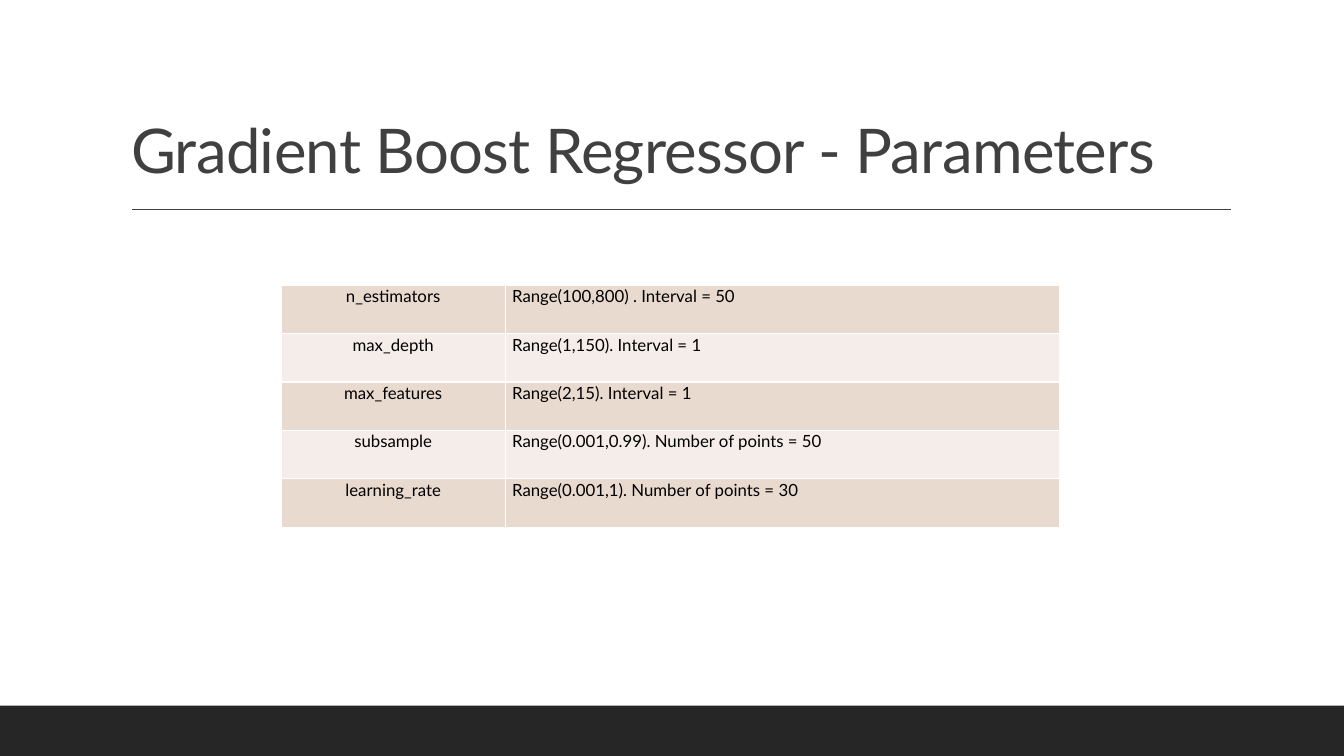
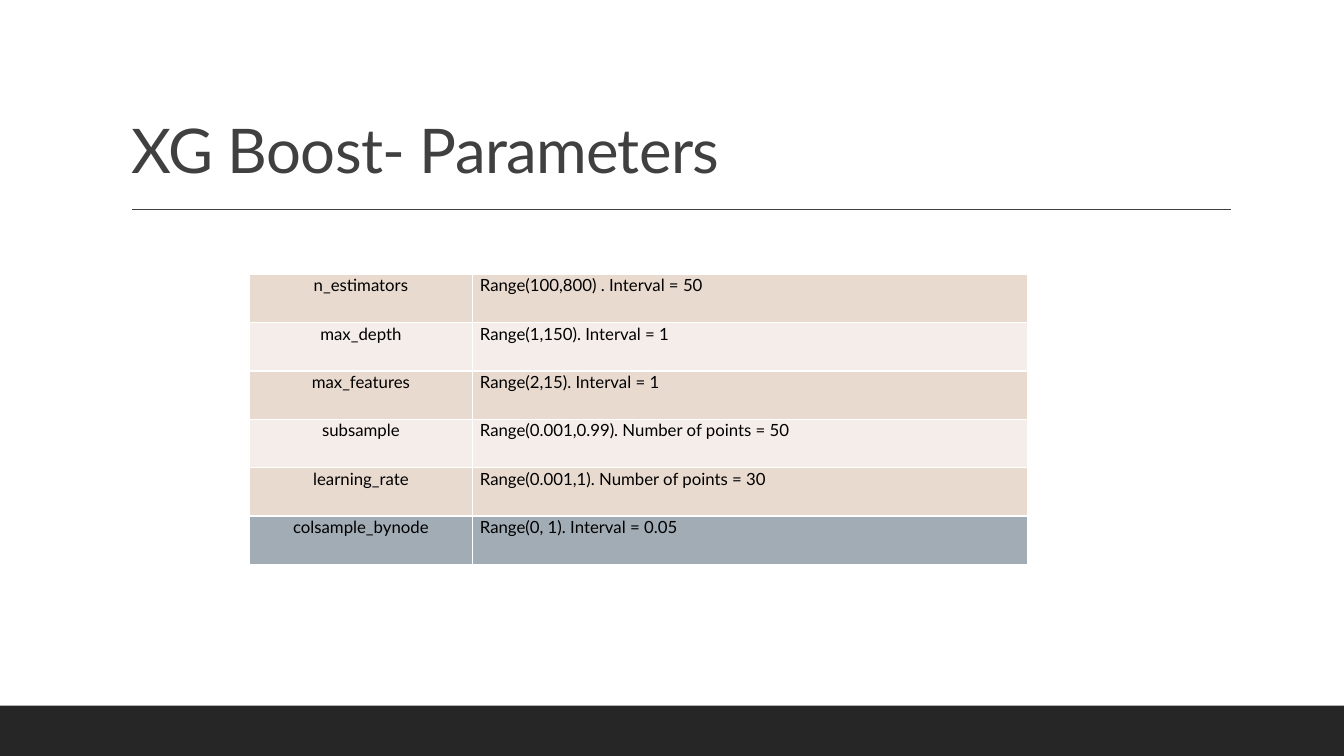
from pptx import Presentation, util as u
from pptx.dml.color import RGBColor
from pptx.enum import shapes, text
from pptx.oxml import parse_xml
from pptx.oxml.ns import nsdecls

FONT = "Lato"
DARK, GREY, BLACK, WHITE = "262626", "404040", "000000", "FFFFFF"
BANDS = ("E9DAD0", "F5EDE9")
EXTRA = "A2ACB5"
COLUMNS = (2.22, 5.5)
ROW_HEIGHT = 0.48
TITLE_BOX = (1.2, 0.31, 11, 1.59)
RULE = (1.31, 2.08, 12.21, 2.08)
FOOTER = (0, 7, 13.33, 0.5)
TITLE_FONT = {"name": FONT, "size": u.Pt(44)}
CELL_FONT = {"name": FONT, "size": u.Pt(12)}
CELL_FORMAT = {
    "margin_left": u.Inches(0.07),
    "margin_right": u.Inches(0.07),
    "margin_top": 0,
    "margin_bottom": 0,
    "vertical_anchor": text.MSO_ANCHOR.TOP,
}

SHARED_PARAMETERS = [
    ("n_estimators", "Range(100,800) . Interval = 50"),
    ("max_depth", "Range(1,150). Interval = 1"),
    ("max_features", "Range(2,15). Interval = 1"),
    ("subsample", "Range(0.001,0.99). Number of points = 50"),
    ("learning_rate", "Range(0.001,1). Number of points = 30"),
]
MODELS = [
    {"title": "Gradient Boost Regressor - Parameters", "corner": (2.79, 2.83), "extra": []},
    {"title": "XG Boost- Parameters", "corner": (2.47, 2.72),
     "extra": [("colsample_bynode", "Range(0, 1). Interval = 0.05")]},
]


def color(value):
    return RGBColor.from_string(value)


def inches(values):
    return [u.Inches(value) for value in values]


def apply(target, values):
    for name, value in values.items():
        setattr(target, name, value)


def paint(fill, value):
    fill.solid()
    fill.fore_color.rgb = color(value)


def add_frame(slide, heading):
    title = slide.shapes.title
    apply(title, dict(zip(("left", "top", "width", "height"), inches(TITLE_BOX))))
    apply(title.text_frame, {"text": heading, "word_wrap": True,
                             "auto_size": text.MSO_AUTO_SIZE.NONE,
                             "vertical_anchor": text.MSO_ANCHOR.BOTTOM})
    line = title.text_frame.paragraphs[0]
    apply(line, {"alignment": text.PP_ALIGN.LEFT, "line_spacing": 0.9})
    run = line.runs[0]
    apply(run.font, TITLE_FONT)
    run.font.color.rgb = color(GREY)
    run._r.get_or_add_rPr().set("spc", "-50")

    footer = slide.shapes.add_shape(shapes.MSO_SHAPE.RECTANGLE, *inches(FOOTER))
    footer.shadow.inherit = False
    paint(footer.fill, DARK)
    footer.line.fill.background()

    rule = slide.shapes.add_connector(shapes.MSO_CONNECTOR.STRAIGHT, *inches(RULE))
    rule.line.color.rgb = color(GREY)
    rule.line.width = u.Pt(1)
    rule._element.spPr.append(parse_xml(f"<a:effectLst {nsdecls('a')}/>"))


def add_borders(cell):
    properties = cell._tc.get_or_add_tcPr()
    for index, side in enumerate(("lnL", "lnR", "lnT", "lnB")):
        properties.insert(index, parse_xml(
            f'<a:{side} {nsdecls("a")} w="{u.Pt(1)}"><a:solidFill>'
            f'<a:srgbClr val="{WHITE}"/></a:solidFill></a:{side}>'))


def fill_cell(cell, words, background, alignment):
    cell.text = words
    apply(cell, CELL_FORMAT)
    paint(cell.fill, background)
    add_borders(cell)
    line = cell.text_frame.paragraphs[0]
    apply(line, {"alignment": alignment, "line_spacing": u.Pt(15)})
    font = line.runs[0].font
    apply(font, CELL_FONT)
    font.color.rgb = color(BLACK)


def add_parameters(slide, corner, extra):
    rows = SHARED_PARAMETERS + extra
    size = (sum(COLUMNS), ROW_HEIGHT * len(rows))
    table = slide.shapes.add_table(len(rows), len(COLUMNS), *inches(corner + size)).table
    apply(table, {"first_row": False, "horz_banding": False})
    for column, width in zip(table.columns, COLUMNS):
        column.width = u.Inches(width)
    for index, row in enumerate(rows):
        table.rows[index].height = u.Inches(ROW_HEIGHT)
        background = BANDS[index % 2] if index < len(SHARED_PARAMETERS) else EXTRA
        for cell, words, alignment in zip(table.rows[index].cells, row,
                                          (text.PP_ALIGN.CENTER, text.PP_ALIGN.LEFT)):
            fill_cell(cell, words, background, alignment)


def main():
    deck = Presentation()
    apply(deck, {"slide_width": u.Inches(13.33), "slide_height": u.Inches(7.5)})
    for model in MODELS:
        slide = deck.slides.add_slide(deck.slide_layouts[5])
        paint(slide.background.fill, WHITE)
        add_frame(slide, model["title"])
        add_parameters(slide, model["corner"], model["extra"])
    deck.save("out.pptx")


if __name__ == "__main__":
    main()
